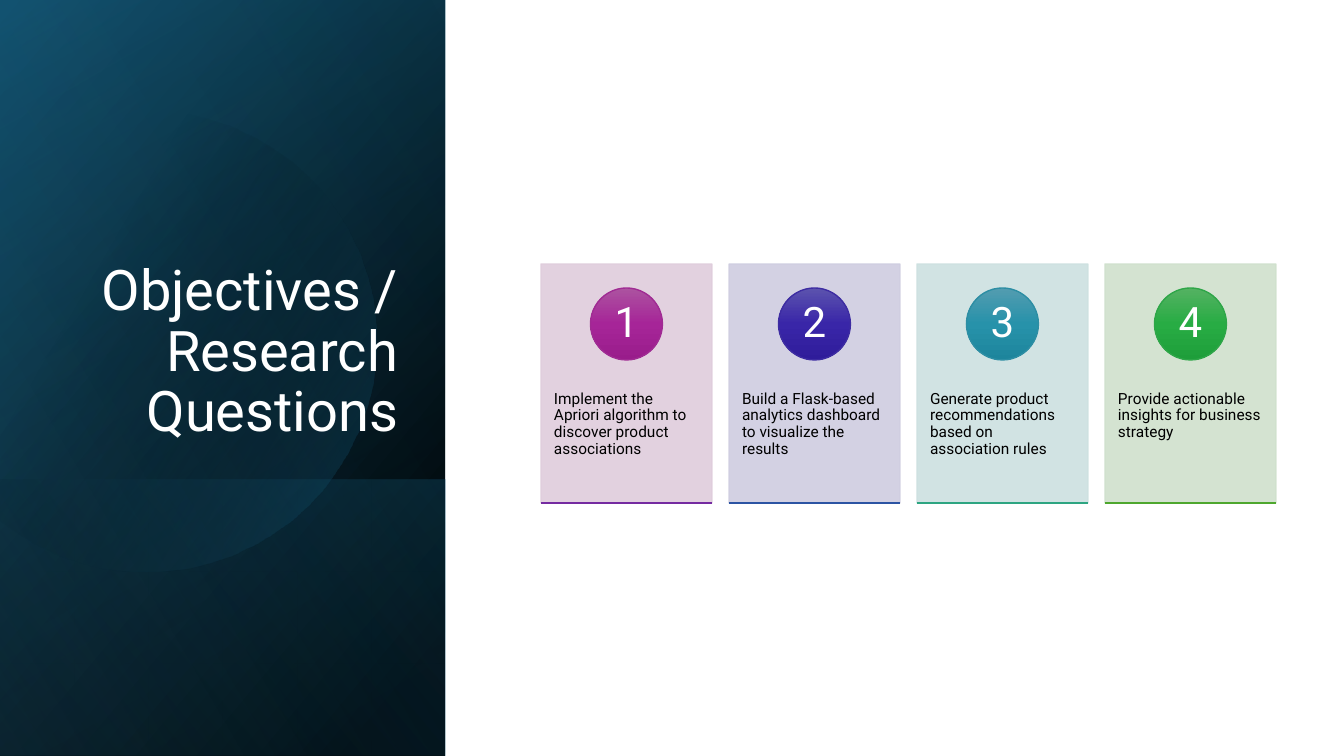
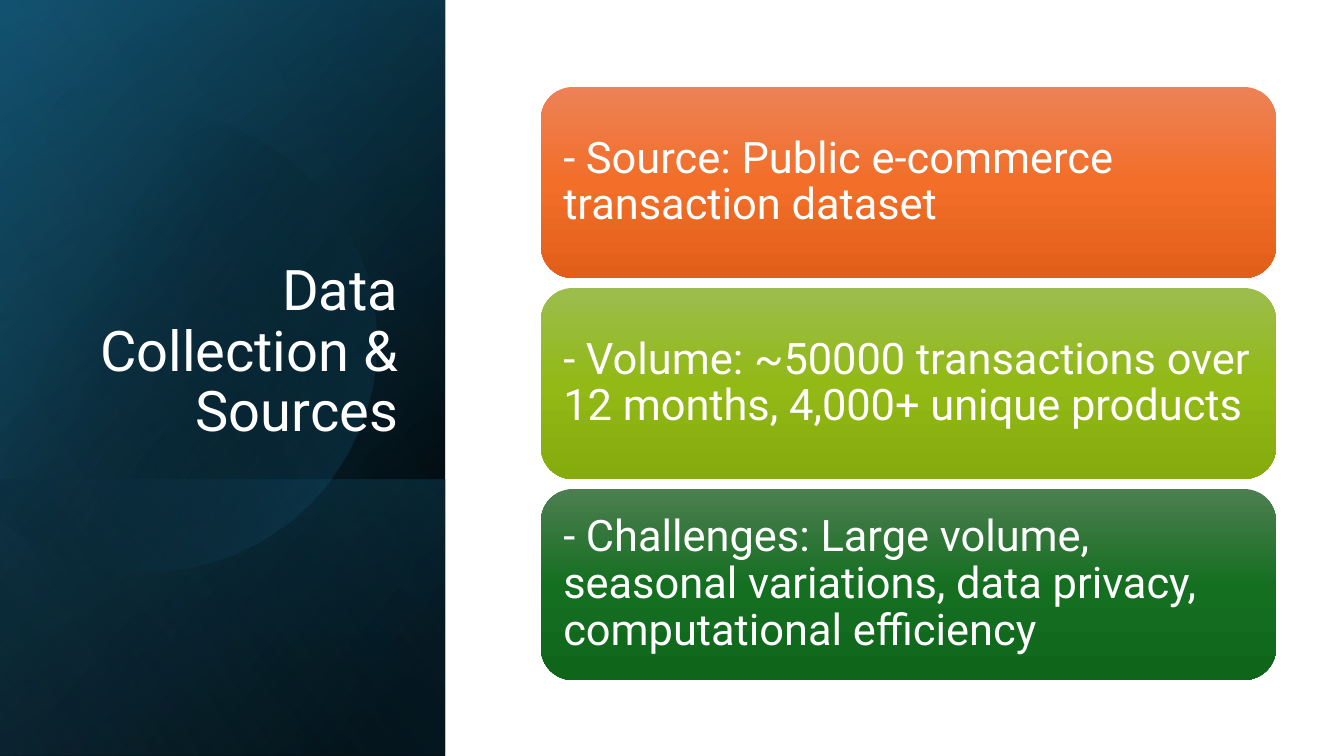
from dataclasses import dataclass
from math import cos, radians, sin

from lxml.etree import SubElement
from pptx import Presentation
from pptx.dml.color import RGBColor
from pptx.enum.shapes import MSO_CONNECTOR, MSO_SHAPE
from pptx.enum.text import MSO_ANCHOR, PP_ALIGN
from pptx.oxml import parse_xml
from pptx.oxml.ns import nsdecls, qn
from pptx.util import Emu, Pt


@dataclass(frozen=True)
class Theme:
    font: str = "Roboto"
    white: str = "FFFFFF"
    black: str = "000000"
    navy: str = "104862"
    teal: str = "156082"
    sky: str = "46B1E1"
    title: int = 40
    row: int = 31
    number: int = 30
    body: int = 11
    # Card fill, badge gradient, badge outline, underline
    cards: tuple = (
        ("DFCDDC", ("AC53A0", "A62598", "991C8B"), "A02B93", "752BA1"),
        ("CFCDE0", ("5C53AE", "3926A8", "2F1C9A"), "3D2CA2", "2C54A3"),
        ("CDE1E0", ("539CB0", "2792AA", "1D859C"), "2D8EA4", "2DA581"),
        ("D0E1CD", ("54B262", "28AC44", "1E9E3A"), "2EA648", "4EA72E"),
    )
    rows: tuple = (
        ("ED8257", "F26E29", "E25F1A"),
        ("9CBD4E", "92B916", "85AB0D"),
        ("4D7E50", "156F21", "0F661B"),
    )


T = Theme()
EMU_PER_PX = 914400 / 100.8
WIDTH, HEIGHT = 1344, 756
PANEL_W = 445


def px(n):
    return Emu(round(n * EMU_PER_PX))


def rgb(value):
    return RGBColor.from_string(value)


def gradient(s, stops, angle=90):
    """Fill with (position %, colour, opacity %) stops; angle runs clockwise."""
    marks = "".join(
        f'<a:gs pos="{pos * 1000}"><a:srgbClr val="{color}">'
        f'<a:alpha val="{opacity * 1000}"/></a:srgbClr></a:gs>'
        for pos, color, opacity in stops)
    s.fill.background()
    props = s._element.spPr
    props.replace(props.find(qn("a:noFill")), parse_xml(
        f'<a:gradFill {nsdecls("a")} rotWithShape="1"><a:gsLst>{marks}</a:gsLst>'
        f'<a:lin ang="{angle * 60000}" scaled="0"/></a:gradFill>'))


def glossy(s, colors):
    gradient(s, [(pos, c, 100) for pos, c in zip((0, 50, 100), colors)])


def add_box(slide, kind, x, y, w, h, line=None):
    s = slide.shapes.add_shape(kind, px(x), px(y), px(w), px(h))
    s.shadow.inherit = False
    if line:
        s.line.color.rgb = rgb(line)
        s.line.width = Pt(1)
    else:
        s.line.fill.background()
    return s


def write(s, text, size, color=T.white, align=PP_ALIGN.LEFT,
          anchor=MSO_ANCHOR.MIDDLE, insets=(13, 13, 13, 13)):
    tf = s.text_frame
    tf.word_wrap = True
    tf.vertical_anchor = anchor
    tf.margin_left, tf.margin_top, tf.margin_right, tf.margin_bottom = map(px, insets)
    p = tf.paragraphs[0]
    p.alignment = align
    p.line_spacing = 0.9
    r = p.add_run()
    r.text = text
    r.font.name = T.font
    r.font.size = Pt(size)
    r.font.color.rgb = rgb(color)


def add_disc(slide, cx, cy, radius):
    """Disc cut off by the left edge of the slide."""
    points = [(round(cx + radius * cos(radians(a))), round(cy + radius * sin(radians(a))))
              for a in range(-129, 130, 2)]
    builder = slide.shapes.build_freeform(*points[0], scale=EMU_PER_PX)
    builder.add_line_segments(points[1:], close=True)
    s = builder.convert_to_shape()
    s.shadow.inherit = False
    s.line.fill.background()
    gradient(s, [(29, T.black, 0), (100, T.teal, 43)], 30)


def add_panel(slide, title, x, y, w, h):
    def layer(top, stops, angle):
        s = add_box(slide, MSO_SHAPE.RECTANGLE, x, top, w, y + h - top)
        gradient(s, stops, angle)

    # Layered background
    layer(y, [(8, T.black, 100), (100, T.navy, 100)], 220)
    layer(y, [(0, T.black, 0), (99, T.teal, 46)], 240)
    layer(y + 480, [(2, T.teal, 29), (100, T.black, 30)], 140)
    add_disc(slide, x + 146, y + 341, 230)
    layer(y, [(0, T.black, 0), (99, T.sky, 11)], 150)

    # Title
    s = slide.shapes.add_textbox(px(x + 64), px(y + 185), px(344), px(264))
    write(s, title, T.title, align=PP_ALIGN.RIGHT, anchor=MSO_ANCHOR.BOTTOM,
          insets=(10, 5, 10, 5))


def add_card(slide, number, text, style, x, y, w, h):
    tint, shades, outline, rule = style

    # Translucent card with its text
    s = add_box(slide, MSO_SHAPE.RECTANGLE, x, y, w, h, line=tint)
    s.fill.solid()
    s.fill.fore_color.rgb = rgb(tint)
    for color in s._element.spPr.iter(qn("a:srgbClr")):
        SubElement(color, qn("a:alpha")).set("val", "90000")
    write(s, text, T.body, T.black, anchor=MSO_ANCHOR.TOP, insets=(13, 127, 13, 36))

    # Numbered badge
    size = 72
    s = add_box(slide, MSO_SHAPE.OVAL, x + (w - size) / 2, y + 24, size, size, line=outline)
    glossy(s, shades)
    write(s, str(number), T.number, align=PP_ALIGN.CENTER, insets=(6, 1, 6, 1))

    # Underline
    s = slide.shapes.add_connector(MSO_CONNECTOR.STRAIGHT,
                                   px(x), px(y + h), px(x + w), px(y + h))
    s.line.color.rgb = rgb(rule)
    s.line.width = Pt(1)
    SubElement(s._element.spPr, qn("a:effectLst"))


def add_cards(slide, texts, x, y, w, h, gap=17):
    card_w = (w - gap * (len(texts) - 1)) / len(texts)
    for i, (text, style) in enumerate(zip(texts, T.cards)):
        add_card(slide, i + 1, text, style, x + i * (card_w + gap), y, card_w, h)


def add_rows(slide, texts, x, y, w, h, gap=10):
    row_h = (h - gap * (len(texts) - 1)) / len(texts)
    for i, (text, shades) in enumerate(zip(texts, T.rows)):
        s = add_box(slide, MSO_SHAPE.ROUNDED_RECTANGLE, x, y + i * (row_h + gap), w, row_h)
        glossy(s, shades)
        write(s, text, T.row)


def add_slide(prs, title):
    slide = prs.slides.add_slide(prs.slide_layouts[6])
    add_panel(slide, title, 0, 0, PANEL_W, HEIGHT)
    return slide


def main():
    prs = Presentation()
    prs.slide_width, prs.slide_height = px(WIDTH), px(HEIGHT)

    add_cards(add_slide(prs, "Objectives / Research Questions"), [
        "Implement the Apriori algorithm to discover product associations",
        "Build a Flask-based analytics dashboard to visualize the results",
        "Generate product recommendations based on association rules",
        "Provide actionable insights for business strategy",
    ], 541, 264, 735, 239)

    add_rows(add_slide(prs, "Data Collection & Sources"), [
        "- Source: Public e-commerce transaction dataset",
        "- Volume: ~50000 transactions over 12 months, 4,000+ unique products",
        "- Challenges: Large volume, seasonal variations, data privacy, "
        "computational efficiency",
    ], 541, 87, 735, 593)

    prs.save("out.pptx")


if __name__ == "__main__":
    main()
